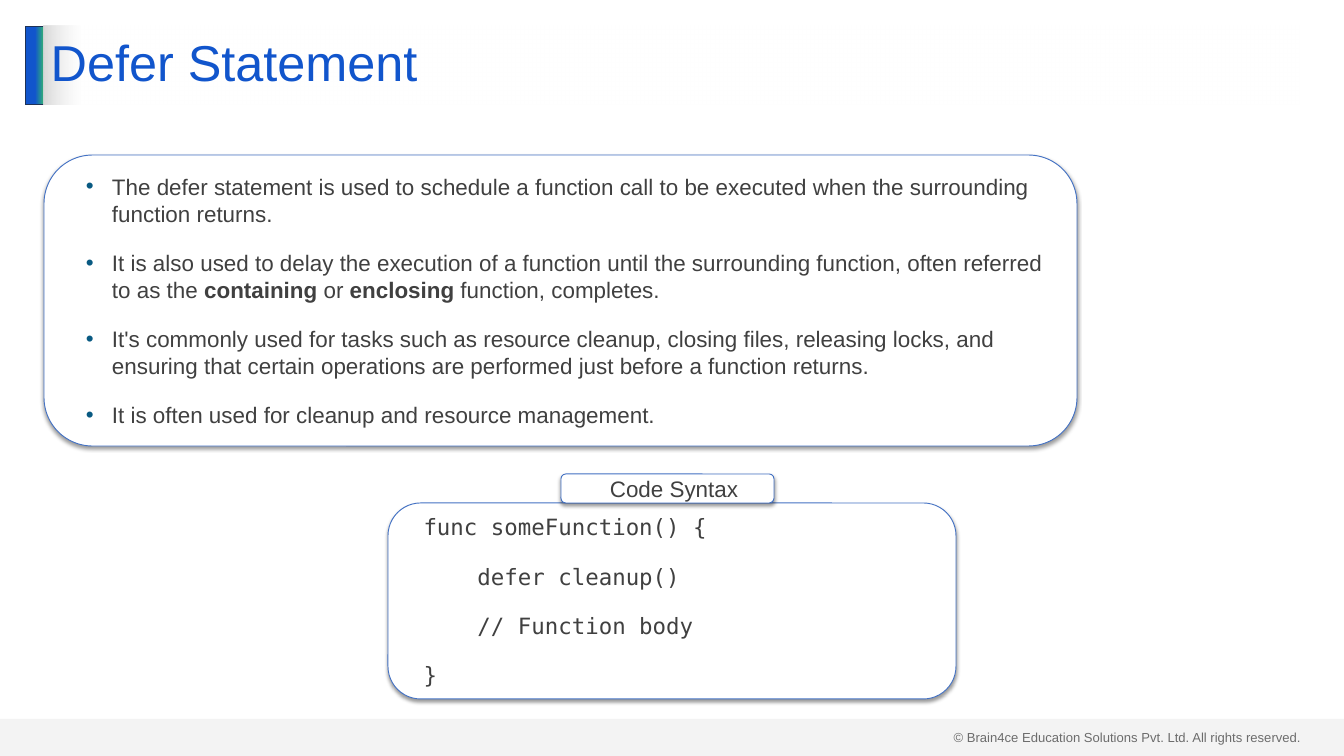
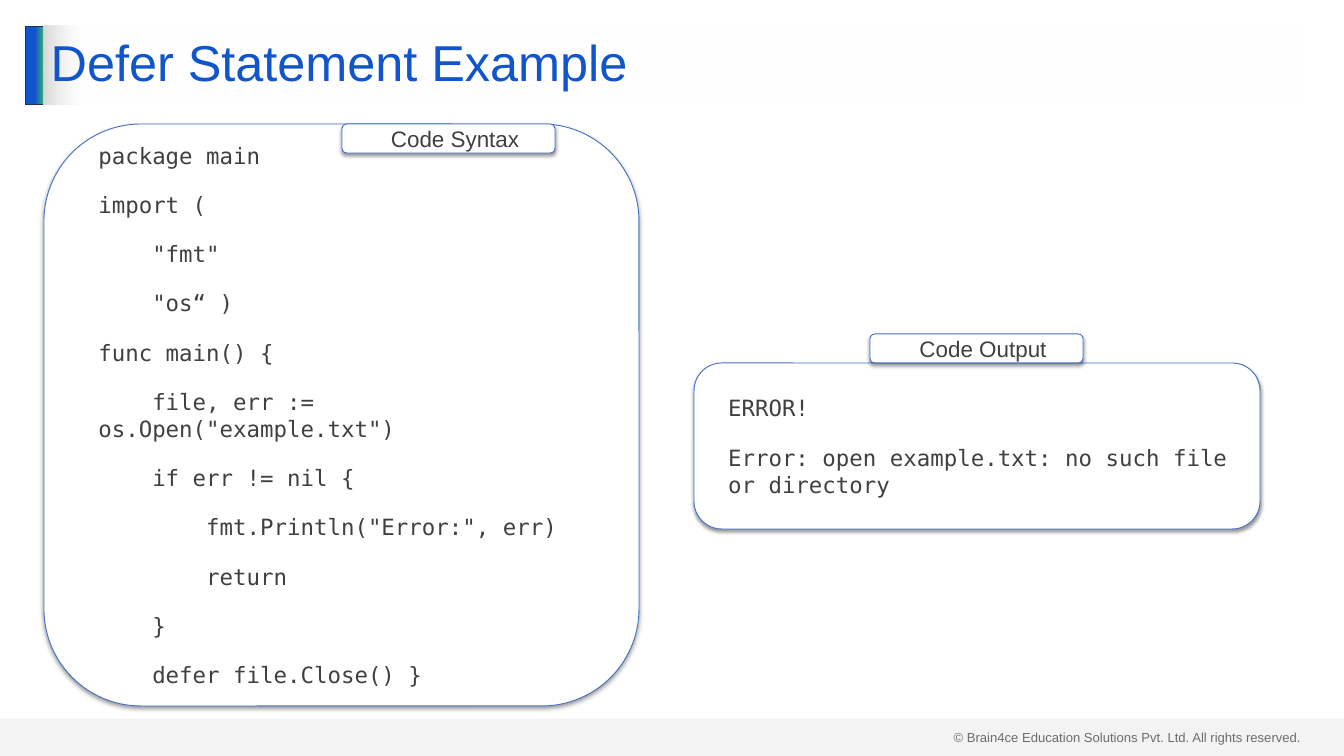
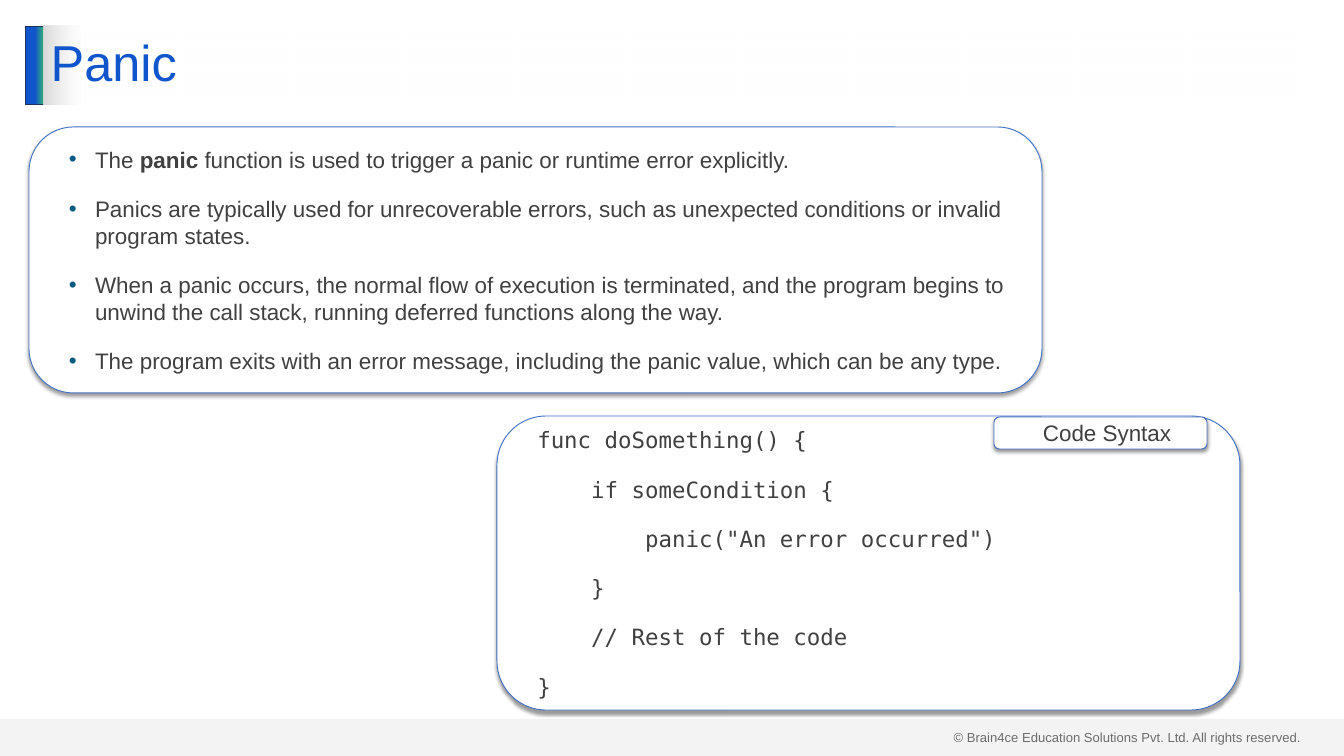
"""Build three slides on Go's defer statement and panic function."""
import lxml.etree
import pptx
import pptx.dml.color
import pptx.enum.shapes
import pptx.enum.text
import pptx.oxml.ns
import pptx.util

PX = pptx.util.Inches(20) / 1344
COLORS = {
    "title": "1155CC", "accent": "2EA87D", "stripe_edge": "1E3256",
    "gray": "D9D9D9", "white": "FFFFFF", "text": "404040",
    "panel_edge": "4472C4", "bullet": "095A82", "shadow": "000000",
}
RGB = {name: pptx.dml.color.RGBColor.from_string(code) for name, code in COLORS.items()}
QN = pptx.oxml.ns.qn
SHAPE = pptx.enum.shapes.MSO_SHAPE
ALIGN = pptx.enum.text.PP_ALIGN
MIDDLE = pptx.enum.text.MSO_ANCHOR.MIDDLE
NO_FIT = pptx.enum.text.MSO_AUTO_SIZE.NONE
INSET = 13
CORNER_INSET = 0.05
FORMATS = {
    "list": {"font": "Arial", "align": ALIGN.LEFT, "margin": 40, "indent": -26},
    "code": {"font": "DejaVu Sans Mono", "align": ALIGN.LEFT, "margin": 13, "indent": 0},
    "label": {"font": "Arial", "align": ALIGN.CENTER, "margin": 13, "indent": 0},
}
SLIDES = [
    ("Defer Statement", [
        ("list", (44, 155, 1033, 291), [
            "The defer statement is used to schedule a function call to be executed when the surrounding function returns.",
            "It is also used to delay the execution of a function until the surrounding function, often referred to as the **containing** or **enclosing** function, completes.",
            "It's commonly used for tasks such as resource cleanup, closing files, releasing locks, and ensuring that certain operations are performed just before a function returns.",
            "It is often used for cleanup and resource management.",
        ]),
        ("code", (388, 503, 568, 196), [
            "func someFunction() {",
            "    defer cleanup()",
            "    // Function body",
            "}",
        ]),
        ("label", (561, 474, 213, 29), ["Code Syntax"]),
    ]),
    ("Defer Statement Example", [
        ("code", (44, 124, 595, 582), [
            "package main",
            "import (",
            '    "fmt"',
            '    "os“ )',
            "func main() {",
            '    file, err := os.Open("example.txt")',
            "    if err != nil {",
            '        fmt.Println("Error:", err)',
            "        return",
            "    }",
            "    defer file.Close() }",
        ]),
        ("label", (342, 124, 213, 29), ["Code Syntax"]),
        ("code", (694, 363, 566, 166), [
            "ERROR!",
            "Error: open example.txt: no such file or directory",
        ]),
        ("label", (870, 334, 213, 29), ["Code Output"]),
    ]),
    ("Panic", [
        ("list", (29, 127, 1013, 266), [
            "The **panic** function is used to trigger a panic or runtime error explicitly.",
            "Panics are typically used for unrecoverable errors, such as unexpected conditions or invalid program states.",
            "When a panic occurs, the normal flow of execution is terminated, and the program begins to unwind the call stack, running deferred functions along the way.",
            "The program exits with an error message, including the panic value, which can be any type.",
        ]),
        ("code", (497, 416, 743, 294), [
            "func doSomething() {",
            "    if someCondition {",
            '        panic("An error occurred")',
            "    }",
            "    // Rest of the code",
            "}",
        ]),
        ("label", (994, 417, 213, 32), ["Code Syntax"]),
    ]),
]


def emu(*lengths):
    """Turn px lengths into EMU."""
    return [round(length * PX) for length in lengths]


def fill_gradient(shape, stops):
    """Fill a shape from left to right with (percent, color, opacity) stops."""
    shape.fill.gradient()
    shape.fill.gradient_angle = 0
    stop_list = shape.element.spPr.find(".//" + QN("a:gsLst"))
    for stop in list(stop_list):
        stop_list.remove(stop)
    for percent, color, opacity in stops:
        stop = lxml.etree.SubElement(stop_list, QN("a:gs"), pos=str(percent * 1000))
        tone = lxml.etree.SubElement(stop, QN("a:srgbClr"), val=COLORS[color])
        if opacity < 100:
            lxml.etree.SubElement(tone, QN("a:alpha"), val=str(opacity * 1000))


deck = pptx.Presentation()
deck.slide_width, deck.slide_height = emu(1344, 756)
pages = []
for heading, blocks in SLIDES:
    has_list = any(kind == "list" for kind, _, _ in blocks)
    pages.append(deck.slides.add_slide(deck.slide_layouts[1 if has_list else 5]))

shapes = pages[0].shapes
footer = shapes.add_textbox(*emu(947, 726, 364, 23))
footer.text_frame.word_wrap = False
footer.text_frame.vertical_anchor = MIDDLE
span = footer.text_frame.paragraphs[0].add_run()
span.text = "© Brain4ce Education Solutions Pvt. Ltd. All rights reserved."
span.font.name = "Arial"
span.font.size = pptx.util.Pt(14)
span.font.color.rgb = RGB["text"]

stripe = shapes.add_shape(SHAPE.RECTANGLE, *emu(25, 26, 20, 79))
stripe.shadow.inherit = False
fill_gradient(stripe, [(51, "title", 100), (90, "accent", 100), (100, "accent", 100)])
stripe.line.color.rgb = RGB["stripe_edge"]
stripe.line.width = pptx.util.Pt(1)

band = shapes.add_shape(SHAPE.RECTANGLE, *emu(0, 719, 1344, 37))
band.shadow.inherit = False
band.fill.solid()
band.fill.fore_color.rgb = RGB["gray"]
band.line.fill.background()
tone = band.element.spPr.find(".//" + QN("a:srgbClr"))
lxml.etree.SubElement(tone, QN("a:alpha"), val="29000")

for number, shape in enumerate((footer, stripe, band), 20):
    shape.element.nvSpPr.cNvPr.id = number
    deck.slide_master.shapes.element.append(shape.element)

for page, (heading, blocks) in zip(pages, SLIDES):
    title = page.shapes.title
    title.left, title.top, title.width, title.height = emu(44, 26, 1255, 79)
    fill_gradient(title, [(0, "gray", 100), (3, "white", 50)])
    title.text_frame.auto_size = NO_FIT
    title.text_frame.vertical_anchor = MIDDLE
    para = title.text_frame.paragraphs[0]
    para.alignment = ALIGN.LEFT
    para.line_spacing = 0.9
    span = para.add_run()
    span.text = heading
    span.font.name = "Arial"
    span.font.size = pptx.util.Pt(54)
    span.font.color.rgb = RGB["title"]

    for kind, place, lines in blocks:
        style = FORMATS[kind]
        panel = page.shapes.add_shape(SHAPE.ROUNDED_RECTANGLE, *emu(*place))
        panel.fill.solid()
        panel.fill.fore_color.rgb = RGB["white"]
        panel.line.color.rgb = RGB["panel_edge"]
        panel.line.width = pptx.util.Pt(1)
        panel.shadow.inherit = False
        shadow = lxml.etree.SubElement(
            panel.element.spPr.find(QN("a:effectLst")), QN("a:outerShdw"),
            blurRad=str(pptx.util.Pt(4)), dist=str(pptx.util.Pt(3)),
            dir="5400000", algn="t", rotWithShape="0")
        tone = lxml.etree.SubElement(shadow, QN("a:srgbClr"), val=COLORS["shadow"])
        lxml.etree.SubElement(tone, QN("a:alpha"), val="40000")

        box, side = panel, INSET
        if kind == "list":
            box = page.placeholders[1]
            box.left, box.top, box.width, box.height = emu(*place)
            page.shapes.element.remove(box.element)
            panel.element.addnext(box.element)
            side = INSET + round(CORNER_INSET * min(place[2:]))
        frame = box.text_frame
        frame_format = {
            "word_wrap": True, "auto_size": NO_FIT, "vertical_anchor": MIDDLE,
            "margin_left": emu(side)[0], "margin_right": emu(side)[0],
            "margin_top": emu(7)[0], "margin_bottom": emu(7)[0],
        }
        for name, value in frame_format.items():
            setattr(frame, name, value)

        for index, line in enumerate(lines):
            para = frame.add_paragraph() if index else frame.paragraphs[0]
            properties = para._p.get_or_add_pPr()
            for name, key in (("marL", "margin"), ("indent", "indent")):
                properties.set(name, str(emu(style[key])[0]))
            if kind == "list":
                bullet_color = lxml.etree.SubElement(properties, QN("a:buClr"))
                lxml.etree.SubElement(bullet_color, QN("a:srgbClr"), val=COLORS["bullet"])
                lxml.etree.SubElement(properties, QN("a:buFont"), typeface="Arial")
                lxml.etree.SubElement(properties, QN("a:buChar"), char="•")
            para.alignment = style["align"]
            para.space_before = pptx.util.Pt(24 if index else 0)
            for part, words in enumerate(line.split("**")):
                span = para.add_run()
                span.text = words
                span_format = {"name": style["font"], "size": pptx.util.Pt(24), "bold": part % 2 == 1}
                for name, value in span_format.items():
                    setattr(span.font, name, value)
                span.font.color.rgb = RGB["text"]

deck.save("out.pptx")
